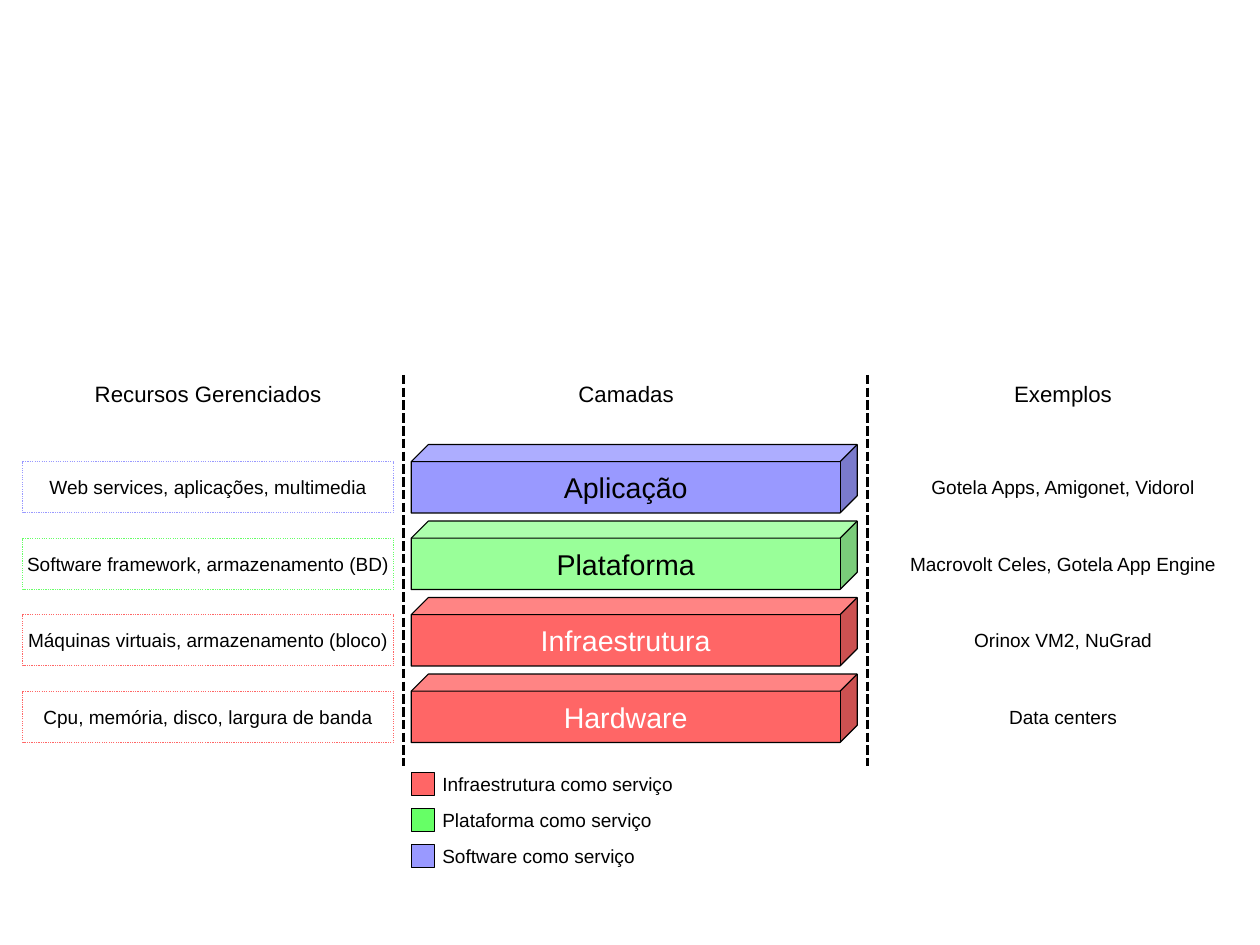
import dataclasses

import pptx
import pptx.dml.color
import pptx.enum.dml
import pptx.enum.shapes
import pptx.enum.text
import pptx.util
from lxml import etree

Cm = pptx.util.Cm
Pt = pptx.util.Pt
SHAPE = pptx.enum.shapes.MSO_SHAPE
DASH = pptx.enum.dml.MSO_LINE
ALIGN = pptx.enum.text.PP_ALIGN
FIT = pptx.enum.text.MSO_AUTO_SIZE
MIDDLE = pptx.enum.text.MSO_ANCHOR.MIDDLE


@dataclasses.dataclass(frozen=True)
class Theme:
    font: str = "Arial"
    black: str = "000000"
    white: str = "FFFFFF"
    red: str = "FF6666"
    green: str = "66FF66"
    pale: str = "99FF99"
    blue: str = "9999FF"
    layer: int = 18
    head: int = 14
    body: int = 12


THEME = Theme()
PITCH = 1.7
LEFT, CENTER, RIGHT = 0.51, 9.8, 19.51
STACK = 9.14

LAYERS = [
    ("Aplicação", THEME.blue, THEME.black, THEME.blue,
     "Web services, aplicações, multimedia", "Gotela Apps, Amigonet, Vidorol"),
    ("Plataforma", THEME.pale, THEME.black, THEME.green,
     "Software framework, armazenamento (BD)", "Macrovolt Celes, Gotela App Engine"),
    ("Infraestrutura", THEME.red, THEME.white, THEME.red,
     "Máquinas virtuais, armazenamento (bloco)", "Orinox VM2, NuGrad"),
    ("Hardware", THEME.red, THEME.white, THEME.red,
     "Cpu, memória, disco, largura de banda", "Data centers"),
]
HEADS = [(LEFT, "Recursos Gerenciados"), (CENTER, "Camadas"), (RIGHT, "Exemplos")]
LEGEND = [
    ("Infraestrutura como serviço", THEME.red),
    ("Plataforma como serviço", THEME.green),
    ("Software como serviço", THEME.blue),
]


def color(code):
    return pptx.dml.color.RGBColor.from_string(code)


def apply(target, values):
    for name, value in values.items():
        setattr(target, name, value)


def write(shape, text, size, ink=THEME.black, align=ALIGN.CENTER, **frame):
    apply(shape.text_frame, {"word_wrap": False, "vertical_anchor": MIDDLE, **frame})
    line = shape.text_frame.paragraphs[0]
    line.alignment = align
    run = line.add_run()
    run.text = text
    apply(run.font, {"name": THEME.font, "size": Pt(size)})
    run.font.color.rgb = color(ink)


def stroke(line, ink, dash=None):
    line.color.rgb = color(ink)
    apply(line, {"width": Pt(0), "dash_style": dash})


def block(slide, kind, place, fill, edge=None, dash=None):
    shape = slide.shapes.add_shape(kind, *map(Cm, place))
    shape.shadow.inherit = False
    shape.fill.solid()
    shape.fill.fore_color.rgb = color(fill)
    if edge:
        stroke(shape.line, edge, dash)
    else:
        shape.line.fill.background()
    return shape


def cell(slide, left, top, text, size, edge=None):
    shape = block(slide, SHAPE.RECTANGLE, (left, top, 8.23, 1.14),
                  THEME.white, edge, DASH.ROUND_DOT)
    write(shape, text, size)


def layer(slide, top, text, fill, ink):
    shape = block(slide, SHAPE.CUBE, (STACK, top, 9.91, 1.52), fill, THEME.black)
    write(shape, text, THEME.layer, ink)


def key(slide, top, text, fill):
    block(slide, SHAPE.RECTANGLE, (STACK, top, 0.51, 0.51), fill, THEME.black)
    label = slide.shapes.add_textbox(Cm(9.58), Cm(top - 0.13), Cm(7.87), Cm(0.74))
    write(label, text, THEME.body, align=ALIGN.LEFT, word_wrap=True,
          vertical_anchor=pptx.enum.text.MSO_ANCHOR.TOP,
          auto_size=FIT.SHAPE_TO_FIT_TEXT)


def divide(slide, left):
    line = slide.shapes.add_connector(
        pptx.enum.shapes.MSO_CONNECTOR.STRAIGHT,
        Cm(left), Cm(8.33), Cm(left), Cm(17.02))
    stroke(line.line, THEME.black, DASH.SQUARE_DOT)
    props = line._element.spPr
    etree.SubElement(props, pptx.oxml.ns.qn("a:effectLst"))


def main():
    deck = pptx.Presentation()
    apply(deck, {"slide_width": Cm(28), "slide_height": Cm(21)})
    slide = deck.slides.add_slide(deck.slide_layouts[6])
    for left, text in HEADS:
        cell(slide, left, 8.18, text, THEME.head)
    for row, (name, fill, ink, edge, means, cases) in enumerate(LAYERS):
        shift = row * PITCH
        layer(slide, 9.88 + shift, name, fill, ink)
        cell(slide, LEFT, 10.26 + shift, means, THEME.body, edge)
        cell(slide, RIGHT, 10.26 + shift, cases, THEME.body)
    for row, (text, fill) in enumerate(LEGEND):
        key(slide, 17.17 + row * 0.8, text, fill)
    for left in (8.97, 19.28):
        divide(slide, left)
    deck.save("out.pptx")


if __name__ == "__main__":
    main()
